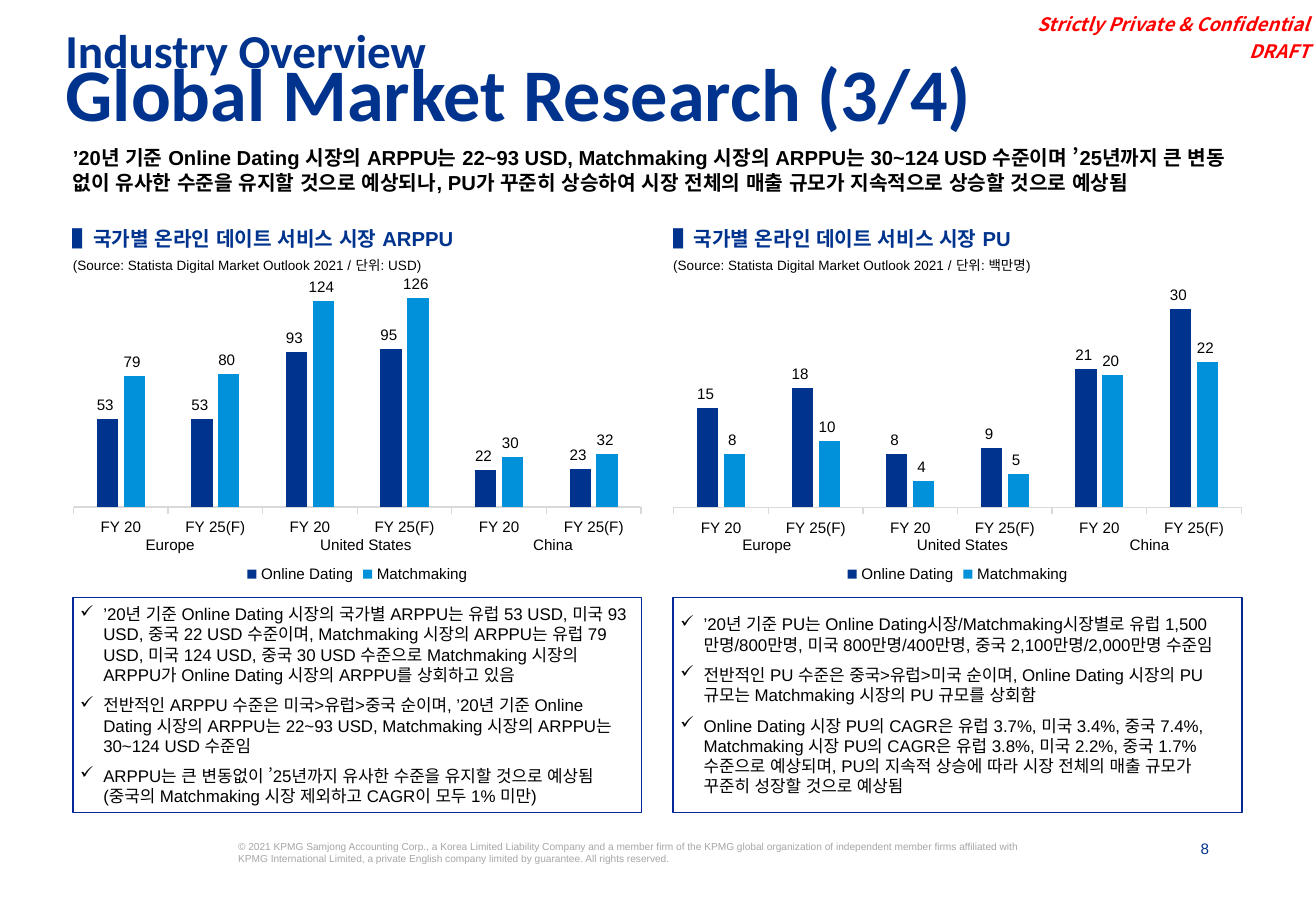
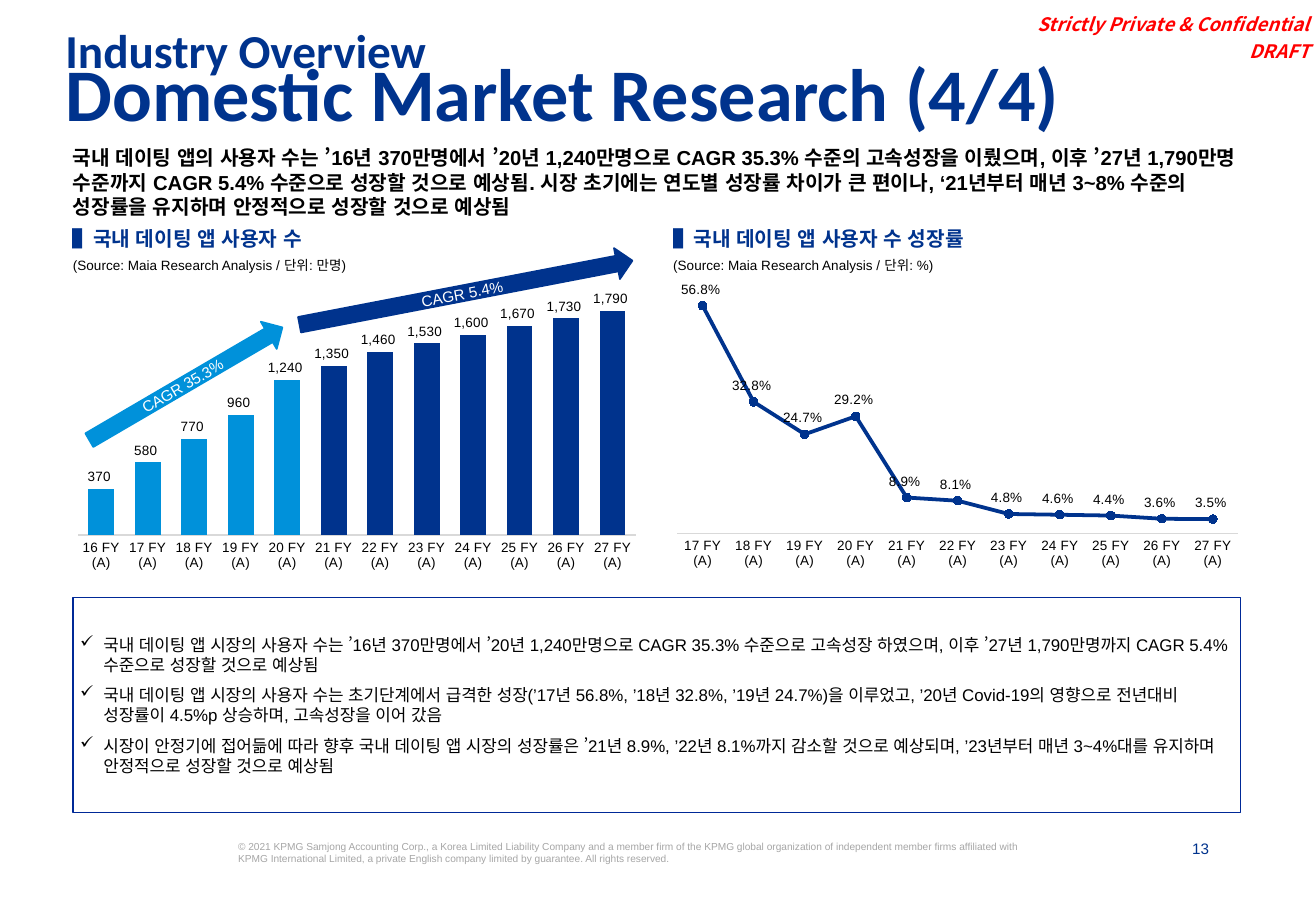
from dataclasses import dataclass

from lxml import etree
from pptx import Presentation
from pptx.chart.data import CategoryChartData
from pptx.dml.color import RGBColor
from pptx.enum.chart import XL_CHART_TYPE, XL_LABEL_POSITION, XL_LEGEND_POSITION, XL_MARKER_STYLE, XL_TICK_MARK
from pptx.enum.lang import MSO_LANGUAGE_ID
from pptx.enum.shapes import MSO_SHAPE
from pptx.enum.text import MSO_ANCHOR, MSO_AUTO_SIZE, PP_ALIGN
from pptx.oxml.ns import qn
from pptx.util import Inches, Pt

COLUMNS, LINE = XL_CHART_TYPE.COLUMN_CLUSTERED, XL_CHART_TYPE.LINE_MARKERS
ABOVE, OUTSIDE = XL_LABEL_POSITION.ABOVE, XL_LABEL_POSITION.OUTSIDE_END
LEGEND_BOTTOM = XL_LEGEND_POSITION.BOTTOM
TICK_NONE, TICK_OUT = XL_TICK_MARK.NONE, XL_TICK_MARK.OUTSIDE
CIRCLE = XL_MARKER_STYLE.CIRCLE
KOREAN = MSO_LANGUAGE_ID.KOREAN
RECTANGLE, RIGHT_ARROW = MSO_SHAPE.RECTANGLE, MSO_SHAPE.RIGHT_ARROW
TOP, MIDDLE, BOTTOM = MSO_ANCHOR.TOP, MSO_ANCHOR.MIDDLE, MSO_ANCHOR.BOTTOM
FIXED = MSO_AUTO_SIZE.NONE
LEFT, CENTER, RIGHT = PP_ALIGN.LEFT, PP_ALIGN.CENTER, PP_ALIGN.RIGHT


@dataclass(frozen=True)
class Theme:
    navy: str = "00338D"
    sky: str = "0091DA"
    frame: str = "002997"
    black: str = "000000"
    white: str = "FFFFFF"
    red: str = "FF0000"
    gray: str = "A6A6A6"
    axis: str = "D9D9D9"
    body_font: str = "Arial"
    title_font: str = "Calibri"
    stamp_font: str = "Noto Sans CJK KR"
    title: int = 44
    section: int = 28
    heading: int = 12
    stamp: int = 11
    body: int = 10
    label: int = 9
    small: int = 8
    legal: int = 6


THEME = Theme()
PANEL_LEFTS = (0.6, 5.54)
PANEL_WIDTH = 4.68
FULL_WIDTH = 9.61
COUNT_FORMAT = r"#,##0_);\(#,##0\);\-_)"
RATE_FORMAT = r"0.0%_);\(0.0\)%_);\-_)"
YEAR_FORMAT = r'General\ "FY (A)"'
FISCAL_YEARS = ("FY 20", "FY 25(F)") * 3
REGIONS = (("Europe", 0.8), ("United States", 2.41), ("China", 3.95))
SECTION = "Industry Overview"
STAMP = ("Strictly Private & Confidential", "DRAFT")
COPYRIGHT = (
    "© 2021 KPMG Samjong Accounting Corp., a Korea Limited Liability Company and a member firm of the KPMG "
    "global organization of independent member firms affiliated with KPMG International Limited, a private "
    "English company limited by guarantee. All rights reserved."
)


def apply(target, formats):
    for name, value in formats.items():
        setattr(target, name, value)


def style_font(font, size, color=THEME.black, name=THEME.body_font, **formats):
    apply(font, {"size": Pt(size), "name": name, **formats})
    font.color.rgb = RGBColor.from_string(color)


def paint(fill, color):
    fill.solid()
    fill.fore_color.rgb = RGBColor.from_string(color)


def place(item, left, top, width, height):
    apply(item, {"left": Inches(left), "top": Inches(top), "width": Inches(width), "height": Inches(height)})


def add_bullet(para):
    properties = para._p.get_or_add_pPr()
    properties.set("marL", str(Inches(0.19)))
    properties.set("indent", str(-Inches(0.19)))
    etree.SubElement(properties, qn("a:buChar")).set("char", "✓")


def write(box, lines, size, anchor=TOP, margins=(0, 0, 0, 0), bullets=False, gap=0, paragraph=None, **font):
    frame = box.text_frame
    sides = ("margin_left", "margin_top", "margin_right", "margin_bottom")
    apply(frame, {"word_wrap": True, "auto_size": FIXED, "vertical_anchor": anchor})
    apply(frame, dict(zip(sides, map(Inches, margins))))
    for index, line in enumerate(lines):
        para = frame.add_paragraph() if index else frame.paragraphs[0]
        if bullets:
            add_bullet(para)
        apply(para, {"alignment": LEFT, **(paragraph or {})})
        if index:
            para.space_before = Pt(gap)
        span = para.add_run()
        span.text = line
        style_font(span.font, size, language_id=KOREAN, **font)


def add_text(page, area, lines, size, **formats):
    box = page.shapes.add_textbox(*map(Inches, area))
    write(box, lines, size, **formats)
    return box


def add_comment_box(page, left, width, lines):
    box = page.shapes.add_shape(RECTANGLE, *map(Inches, (left, 4.92, width, 1.77)))
    box.shadow.inherit = False
    box.fill.background()
    box.line.color.rgb = RGBColor.from_string(THEME.frame)
    box.line.width = Pt(1)
    write(box, lines, THEME.body, anchor=MIDDLE, margins=(0.06,) * 4, bullets=True, gap=6,
          paragraph={"line_spacing": Pt(12)})


def add_growth_arrow(page, area, rotation, color, text):
    arrow = page.shapes.add_shape(RIGHT_ARROW, *map(Inches, area))
    arrow.shadow.inherit = False
    arrow.rotation = rotation
    paint(arrow.fill, color)
    arrow.line.color.rgb = RGBColor.from_string(color)
    arrow.line.width = Pt(1)
    write(arrow, [text], THEME.label, anchor=MIDDLE, margins=(0.1, 0.05, 0.1, 0.05), color=THEME.white,
          paragraph={"alignment": CENTER})


def set_plot_area(chart, area):
    plot_area = chart._chartSpace.chart.plotArea
    for old in plot_area.findall(qn("c:layout")):
        plot_area.remove(old)
    layout = etree.Element(qn("c:layout"))
    plot_area.insert(0, layout)
    manual = etree.SubElement(layout, qn("c:manualLayout"))
    values = {"layoutTarget": "inner", "xMode": "edge", "yMode": "edge", **dict(zip("xywh", area))}
    for name, value in values.items():
        etree.SubElement(manual, qn(f"c:{name}")).set("val", str(value))


def add_chart(page, kind, left, height, categories, series, maximum, plot_area, number_format, axis_size, tick):
    data = CategoryChartData(number_format=number_format)
    data.categories = categories
    by_year = not isinstance(categories[0], str)
    if by_year:
        data.categories.number_format = YEAR_FORMAT
    for name, values in series:
        data.add_series(name, values)
    area = map(Inches, (left, 2.26, PANEL_WIDTH, height))
    chart = page.shapes.add_chart(kind, *area, data).chart
    style_font(chart.font, THEME.body)
    apply(chart, {"has_title": False, "has_legend": len(series) > 1})
    if chart.has_legend:
        apply(chart.legend, {"position": LEGEND_BOTTOM, "include_in_layout": False})
        style_font(chart.legend.font, THEME.label)
    apply(chart.value_axis, {"visible": False, "has_major_gridlines": False,
                             "minimum_scale": 0, "maximum_scale": maximum})
    axis = chart.category_axis
    apply(axis, {"major_tick_mark": tick, "minor_tick_mark": TICK_NONE, "has_major_gridlines": False})
    axis.format.line.color.rgb = RGBColor.from_string(THEME.axis)
    axis.format.line.width = Pt(0.75)
    style_font(axis.tick_labels.font, axis_size)
    if by_year:
        apply(axis.tick_labels, {"number_format": YEAR_FORMAT, "number_format_is_linked": False})
    plot = chart.plots[0]
    apply(plot, {"vary_by_categories": False, "has_data_labels": True})
    apply(plot.data_labels, {"show_value": True, "position": ABOVE if kind == LINE else OUTSIDE,
                             "number_format": number_format, "number_format_is_linked": False})
    style_font(plot.data_labels.font, axis_size)
    set_plot_area(chart, plot_area)
    return plot


def add_columns(page, *chart_values, gap, colors, **options):
    plot = add_chart(page, COLUMNS, *chart_values, number_format=COUNT_FORMAT, **options)
    apply(plot, {"gap_width": gap, "overlap": -27})
    for series, color in zip(plot.series, colors):
        series.invert_if_negative = False
        paint(series.format.fill, color)
    return plot


def add_region_chart(page, left, dating, matchmaking, maximum, plot_area, shift):
    series = (("Online Dating", dating), ("Matchmaking", matchmaking))
    add_columns(page, left, 2.58, FISCAL_YEARS, series, maximum, plot_area, gap=219,
                colors=(THEME.navy, THEME.sky), axis_size=THEME.label, tick=TICK_OUT)
    width = 0.95
    for region, center in REGIONS:
        add_text(page, (left + center + shift - width / 2, 4.41, width, 0.14), [region], THEME.label,
                 paragraph={"alignment": CENTER})


def add_users_chart(page, left):
    users = (370, 580, 770, 960, 1240, 1350, 1460, 1530, 1600, 1670, 1730, 1790)
    plot = add_columns(page, left, 2.54, range(16, 28), [("Series 1", users)], 2000, (0.009, 0.033, 0.981, 0.812),
                       gap=80, colors=[THEME.navy], axis_size=THEME.small, tick=TICK_NONE)
    for index in range(5):
        paint(plot.series[0].points[index].format.fill, THEME.sky)


def add_rate_chart(page, left):
    rates = (0.568, 0.328, 0.247, 0.292, 0.089, 0.081, 0.048, 0.046, 0.044, 0.036, 0.035)
    plot = add_chart(page, LINE, left, 2.54, range(17, 28), [("Series 1", rates)], 0.6,
                     (0.007, 0.06, 0.987, 0.779), RATE_FORMAT, THEME.small, TICK_NONE)
    series = plot.series[0]
    series.smooth = False
    series.format.line.color.rgb = RGBColor.from_string(THEME.navy)
    series.format.line.width = Pt(2.25)
    markers = [(series.marker, THEME.navy)]
    markers += [(series.points[index].marker, THEME.sky) for index in range(4)]
    for marker, color in markers:
        apply(marker, {"style": CIRCLE, "size": 5})
        paint(marker.format.fill, color)
        marker.format.line.color.rgb = RGBColor.from_string(color)
    for index in range(4):
        line = series.points[index].format.line
        line.color.rgb = RGBColor.from_string(THEME.navy)
        line.width = Pt(2.25)


def add_shared_text(page, layout):
    stamp = add_text(page, (8.32, 0, 2.5, 0.55), STAMP, THEME.stamp, anchor=BOTTOM, margins=(0, 0.04, 0.04, 0.04),
                     gap=2.5, color=THEME.red, name=THEME.stamp_font, bold=True, italic=True,
                     paragraph={"alignment": RIGHT})
    legal = add_text(page, (1.96, 6.92, 6.53, 0.5), [COPYRIGHT], THEME.legal, color=THEME.gray)
    for box in (stamp, legal):
        layout.shapes.element.append(box.element)


def add_page(deck, layout, number, title, message, panels):
    page = deck.slides.add_slide(layout)
    headline = {"margins": (0.1, 0.05, 0.1, 0.05), "color": THEME.navy, "name": THEME.title_font, "bold": True,
                "paragraph": {"line_spacing": 0.7}}
    place(page.shapes.title, 0.44, 0.54, 9.4, 0.64)
    write(page.shapes.title, [title], THEME.title, **headline)
    add_text(page, (0.44, 0.25, 9.4, 0.3), [SECTION], THEME.section, **headline)
    add_text(page, (0.6, 1.2, FULL_WIDTH, 0.54), [message], THEME.heading, bold=True)
    for left, (heading, source) in zip(PANEL_LEFTS, panels):
        add_text(page, (left, 1.75, 4.12, 0.39), ["▌" + heading], THEME.heading, anchor=MIDDLE,
                 color=THEME.navy, bold=True, paragraph={"line_spacing": 1.2})
        add_text(page, (left, 2.12, PANEL_WIDTH, 0.14), [f"(Source: {source})"], THEME.small)
    add_text(page, (9.52, 6.91, 0.43, 0.16), [str(number)], THEME.label, color=THEME.navy,
             paragraph={"alignment": RIGHT})
    return page


def main():
    deck = Presentation()
    apply(deck, {"slide_width": Inches(10.83), "slide_height": Inches(7.5)})
    layout = deck.slide_layouts[5]
    left, right = PANEL_LEFTS

    world = add_page(
        deck, layout, 8, "Global Market Research (3/4)",
        "’20년 기준 Online Dating 시장의 ARPPU는 22~93 USD, Matchmaking 시장의 ARPPU는 30~124 USD 수준이며 ’25년까지 큰 변동 없이 유사한 수준을 유지할 것으로 예상되나, PU가 꾸준히 상승하여 시장 전체의 매출 규모가 지속적으로 상승할 것으로 예상됨",
        (("국가별 온라인 데이트 서비스 시장 ARPPU", "Statista Digital Market Outlook 2021 / 단위: USD"),
         ("국가별 온라인 데이트 서비스 시장 PU", "Statista Digital Market Outlook 2021 / 단위: 백만명")))
    add_shared_text(world, layout)
    add_region_chart(world, left, (53, 53, 93, 95, 22, 23), (79, 80, 124, 126, 30, 32), 140, (0, 0, 1, 0.742), 0)
    add_region_chart(world, right, (15, 18, 8, 9, 21, 30), (8, 10, 4, 5, 20, 22), 35, (0, 0.005, 1, 0.738), -0.03)
    add_comment_box(world, left, PANEL_WIDTH, (
        "’20년 기준 Online Dating 시장의 국가별 ARPPU는 유럽 53 USD, 미국 93 USD, 중국 22 USD 수준이며, Matchmaking 시장의 ARPPU는 유럽 79 USD, 미국 124 USD, 중국 30 USD 수준으로 Matchmaking 시장의 ARPPU가 Online Dating 시장의 ARPPU를 상회하고 있음",
        "전반적인 ARPPU 수준은 미국>유럽>중국 순이며, ’20년 기준 Online Dating 시장의 ARPPU는 22~93 USD, Matchmaking 시장의 ARPPU는 30~124 USD 수준임",
        "ARPPU는 큰 변동없이 ’25년까지 유사한 수준을 유지할 것으로 예상됨(중국의 Matchmaking 시장 제외하고 CAGR이 모두 1% 미만)"))
    add_comment_box(world, right, PANEL_WIDTH, (
        "’20년 기준 PU는 Online Dating시장/Matchmaking시장별로 유럽 1,500만명/800만명, 미국 800만명/400만명, 중국 2,100만명/2,000만명 수준임",
        "전반적인 PU 수준은 중국>유럽>미국 순이며, Online Dating 시장의 PU 규모는 Matchmaking 시장의 PU 규모를 상회함",
        "Online Dating 시장 PU의 CAGR은 유럽 3.7%, 미국 3.4%, 중국 7.4%, Matchmaking 시장 PU의 CAGR은 유럽 3.8%, 미국 2.2%, 중국 1.7% 수준으로 예상되며, PU의 지속적 상승에 따라 시장 전체의 매출 규모가 꾸준히 성장할 것으로 예상됨"))

    domestic = add_page(
        deck, layout, 13, "Domestic Market Research (4/4)",
        "국내 데이팅 앱의 사용자 수는 ’16년 370만명에서 ’20년 1,240만명으로 CAGR 35.3% 수준의 고속성장을 이뤘으며, 이후 ’27년 1,790만명 수준까지 CAGR 5.4% 수준으로 성장할 것으로 예상됨. 시장 초기에는 연도별 성장률 차이가 큰 편이나, ‘21년부터 매년 3~8% 수준의 성장률을 유지하며 안정적으로 성장할 것으로 예상됨",
        (("국내 데이팅 앱 사용자 수", "Maia Research Analysis / 단위: 만명"),
         ("국내 데이팅 앱 사용자 수 성장률", "Maia Research Analysis / 단위: %")))
    add_users_chart(domestic, left)
    add_rate_chart(domestic, right)
    add_growth_arrow(domestic, (0.61, 3.03, 1.84, 0.26), 329.7, THEME.sky, "CAGR 35.3%")
    add_growth_arrow(domestic, (2.44, 2.28, 2.79, 0.26), 349.1, THEME.navy, "CAGR 5.4%")
    add_comment_box(domestic, left, FULL_WIDTH, (
        "국내 데이팅 앱 시장의 사용자 수는 ’16년 370만명에서 ’20년 1,240만명으로 CAGR 35.3% 수준으로 고속성장 하였으며, 이후 ’27년 1,790만명까지 CAGR 5.4% 수준으로 성장할 것으로 예상됨",
        "국내 데이팅 앱 시장의 사용자 수는 초기단계에서 급격한 성장(’17년 56.8%, ’18년 32.8%, ’19년 24.7%)을 이루었고, ’20년 Covid-19의 영향으로 전년대비 성장률이 4.5%p 상승하며, 고속성장을 이어 갔음",
        "시장이 안정기에 접어듦에 따라 향후 국내 데이팅 앱 시장의 성장률은 ’21년 8.9%, ’22년 8.1%까지 감소할 것으로 예상되며, ’23년부터 매년 3~4%대를 유지하며 안정적으로 성장할 것으로 예상됨"))
    deck.save("out.pptx")


if __name__ == "__main__":
    main()
